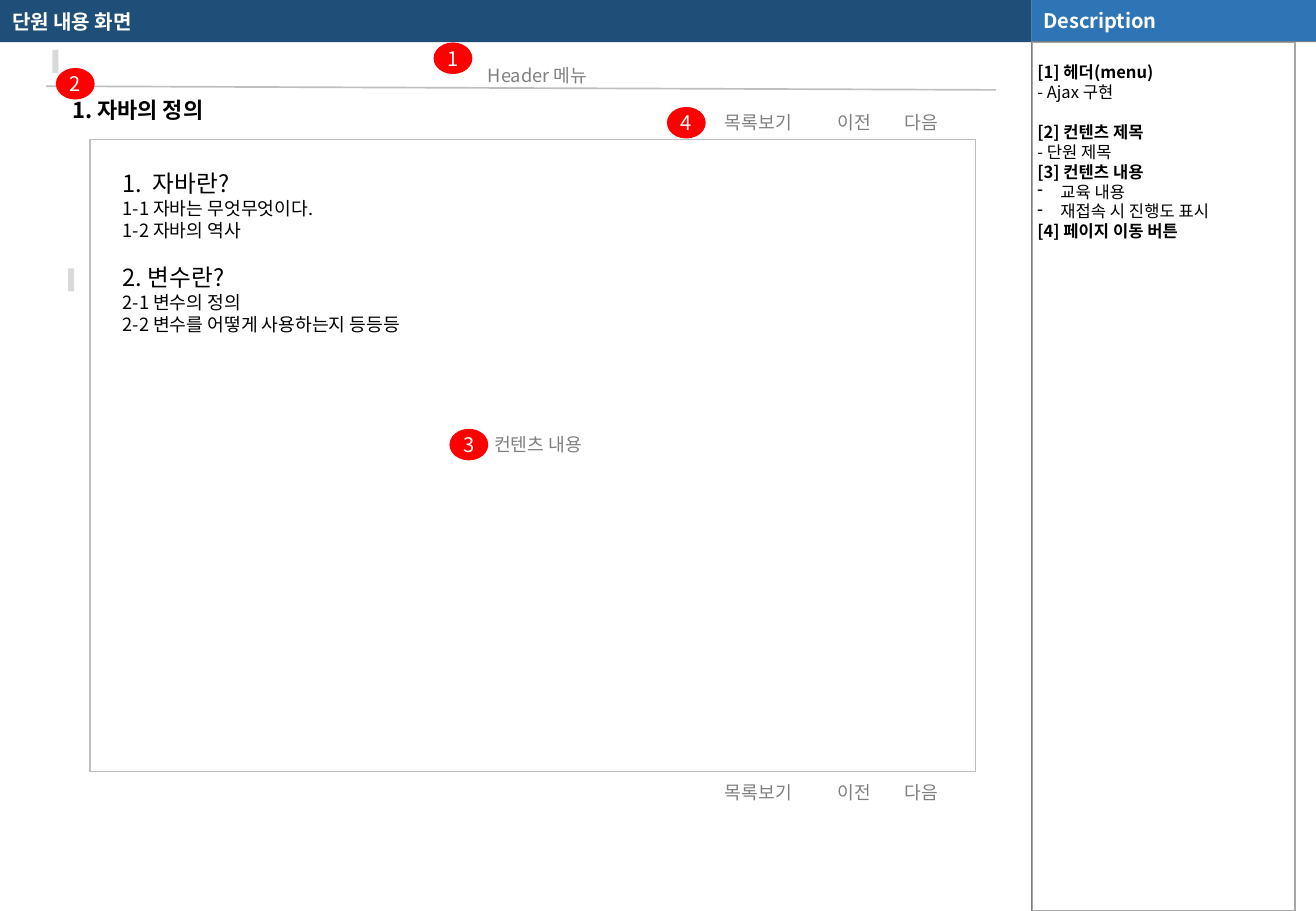
from pptx import Presentation
from pptx.dml.color import RGBColor
from pptx.enum.shapes import MSO_CONNECTOR, MSO_SHAPE as SHAPE
from pptx.enum.text import MSO_ANCHOR as ANCHOR, MSO_AUTO_SIZE, PP_ALIGN as ALIGN
from pptx.oxml import parse_xml
from pptx.oxml.ns import nsdecls, qn
from pptx.util import Pt
from lxml.etree import SubElement


def rgb(hex_color):
    return RGBColor.from_string(hex_color)


class Wireframe:
    """Draws annotated screen-plan elements on one slide, in points."""

    FONT = "Noto Sans CJK KR"
    LEADING = 1.2
    GREY = "808080"
    BORDER = "BFBFBF"

    def __init__(self, slide):
        self.slide = slide
        self.shapes = slide.shapes

    def place(self, shape, box):
        for name, value in zip(("left", "top", "width", "height"), box):
            setattr(shape, name, Pt(value))

    def set_text(self, shape, lines, size, color="000000", bold=False, align=ALIGN.LEFT,
                 anchor=ANCHOR.TOP, inset=(0, 0, 0, 0), wrap=True):
        frame = shape.text_frame
        left, top, right, bottom = inset
        layout = {"margin_left": Pt(left), "margin_top": Pt(top), "margin_right": Pt(right),
                  "margin_bottom": Pt(bottom), "word_wrap": wrap,
                  "vertical_anchor": anchor, "auto_size": MSO_AUTO_SIZE.NONE}
        for name, value in layout.items():
            setattr(frame, name, value)
        for index, (text, style) in enumerate(lines):
            paragraph = frame.add_paragraph() if index else frame.paragraphs[0]
            line_size = style.get("size", size)
            spacing = {"alignment": align, "line_spacing": Pt(round(line_size * self.LEADING, 1)),
                       "space_before": Pt(style.get("before", 0))}
            for name, value in spacing.items():
                setattr(paragraph, name, value)
            if "bullet" in style:
                self.bullet(paragraph, *style["bullet"])
            run = paragraph.add_run()
            run.text = text
            run.font.color.rgb = rgb(color)
            face = {"name": self.FONT, "size": Pt(line_size), "bold": style.get("bold", bold)}
            for name, value in face.items():
                setattr(run.font, name, value)
            SubElement(run.font._element, qn("a:ea")).set("typeface", self.FONT)

    def bullet(self, paragraph, tag, attribute, value, indent):
        properties = paragraph._p.get_or_add_pPr()
        properties.set("marL", str(Pt(indent)))
        properties.set("indent", str(-Pt(indent)))
        SubElement(properties, qn(tag)).set(attribute, value)

    def title(self, text, box, fill, **style):
        title = self.shapes.title
        self.place(title, box)
        title.fill.solid()
        title.fill.fore_color.rgb = rgb(fill)
        self.set_text(title, [(text, {})], **style)

    def block(self, box, fill=None, line=None, kind=SHAPE.RECTANGLE, lines=(), **style):
        shape = self.shapes.add_shape(kind, *map(Pt, box))
        shape.shadow.inherit = False
        for part, color in ((shape.fill, fill), (shape.line.fill, line)):
            if color:
                part.solid()
                part.fore_color.rgb = rgb(color)
            else:
                part.background()
        if line:
            shape.line.width = Pt(1)
        if lines:
            self.set_text(shape, lines, **style)

    def label(self, text, box, **style):
        self.set_text(self.shapes.add_textbox(*map(Pt, box)), [(text, {})], **style)

    def badge(self, number, x, y):
        self.block((x, y, 23, 18.7), "FF0000", kind=SHAPE.OVAL, lines=[(str(number), {})],
                   size=11.9, color="FFFFFF", align=ALIGN.CENTER, anchor=ANCHOR.MIDDLE, wrap=False)

    def rule(self, start, end, color, width):
        line = self.shapes.add_connector(MSO_CONNECTOR.STRAIGHT, *map(Pt, start + end))
        line.line.color.rgb = rgb(color)
        line.line.width = Pt(width)
        SubElement(line._element.spPr, qn("a:effectLst"))

    def frame_table(self, box):
        table = self.shapes.add_table(1, 1, *map(Pt, box)).table
        table.first_row = table.horz_banding = False
        cell = table.cell(0, 0)
        cell.fill.background()
        properties = cell._tc.get_or_add_tcPr()
        for index, side in enumerate("LRTB"):
            properties.insert(index, parse_xml(
                f'<a:ln{side} {nsdecls("a")} w="{Pt(1)}"><a:solidFill>'
                f'<a:srgbClr val="{self.BORDER}"/></a:solidFill></a:ln{side}>'))


def main():
    deck = Presentation()
    deck.slide_width, deck.slide_height = Pt(780), Pt(540)
    page = Wireframe(deck.slides.add_slide(deck.slide_layouts[5]))

    bar = {"size": 11.9, "color": "FFFFFF", "bold": True,
           "anchor": ANCHOR.MIDDLE, "inset": (7.2, 0, 7.2, 0)}
    page.title("단원 내용 화면", (0, 0, 611.3, 25), "1F4E79", **bar)
    page.block((611.3, 0, 168.7, 25), page.GREY)
    page.rule((611.3, 24.5), (611.3, 540), "7F7F7F", 0.25)
    page.block((611.3, 0, 168.7, 24.5), "2E75B6", lines=[("Description", {})], **bar)

    page.rule((27.4, 51.1), (590.4, 53.3), page.BORDER, 1)
    for x, y in ((31, 29.5), (40.3, 159.1)):
        page.block((x, y, 3.6, 13.7), "D9D9D9")
    page.label("1. 자바의 정의", (36, 54, 198.7, 23), size=13, bold=True, inset=(7.2, 3.6, 7.2, 3.6))
    caption = {"size": 10.8, "color": page.GREY, "align": ALIGN.CENTER}
    page.label("Header 메뉴", (33.1, 38.2, 571, 13), **caption)

    heading = {"bold": True}
    dash = {"bullet": ("a:buChar", "char", "-", 13.7)}
    notes = [("[1] 헤더(menu)", heading), ("- Ajax 구현", {}),
             ("[2] 컨텐츠 제목", {"bold": True, "before": 11.7}), ("- 단원 제목", {}),
             ("[3] 컨텐츠 내용", heading), ("교육 내용", dash), ("재접속 시 진행도 표시", dash),
             ("[4] 페이지 이동 버튼", heading)]
    page.block((612, 25.2, 155.5, 514.8), line="A6A6A6", lines=notes, size=9.8,
               inset=(2.9, 11.7, 2.9, 0))

    page.frame_table((53.3, 82.8, 524.9, 374.4))
    lesson = [("자바란?", {"size": 14, "bullet": ("a:buAutoNum", "type", "arabicPeriod", 18)}),
              ("1-1 자바는 무엇무엇이다.", {}), ("1-2 자바의 역사", {}),
              ("2. 변수란?", {"size": 14, "before": 13}),
              ("2-1 변수의 정의", {}), ("2-2 변수를 어떻게 사용하는지 등등등", {})]
    page.block((72.7, 100.1, 266.4, 99.4), "FFFFFF", lines=lesson, size=10.8)
    page.block((267.8, 257, 102.2, 13), "FFFFFF", lines=[("컨텐츠 내용", {})], **caption)

    buttons = (("목록보기", 418.3), ("이전", 475.2), ("다음", 514.8))
    for y, fill in ((463, "FFFFFF"), (66.2, None)):
        for text, x in buttons:
            page.block((x, y, 62.6, 13), fill, lines=[(text, {})], **caption)

    badges = ((257, 25.2), (33.1, 40.3), (266.4, 254.2), (395.3, 63.4))
    for number, (x, y) in enumerate(badges, 1):
        page.badge(number, x, y)

    deck.save("out.pptx")


if __name__ == "__main__":
    main()
